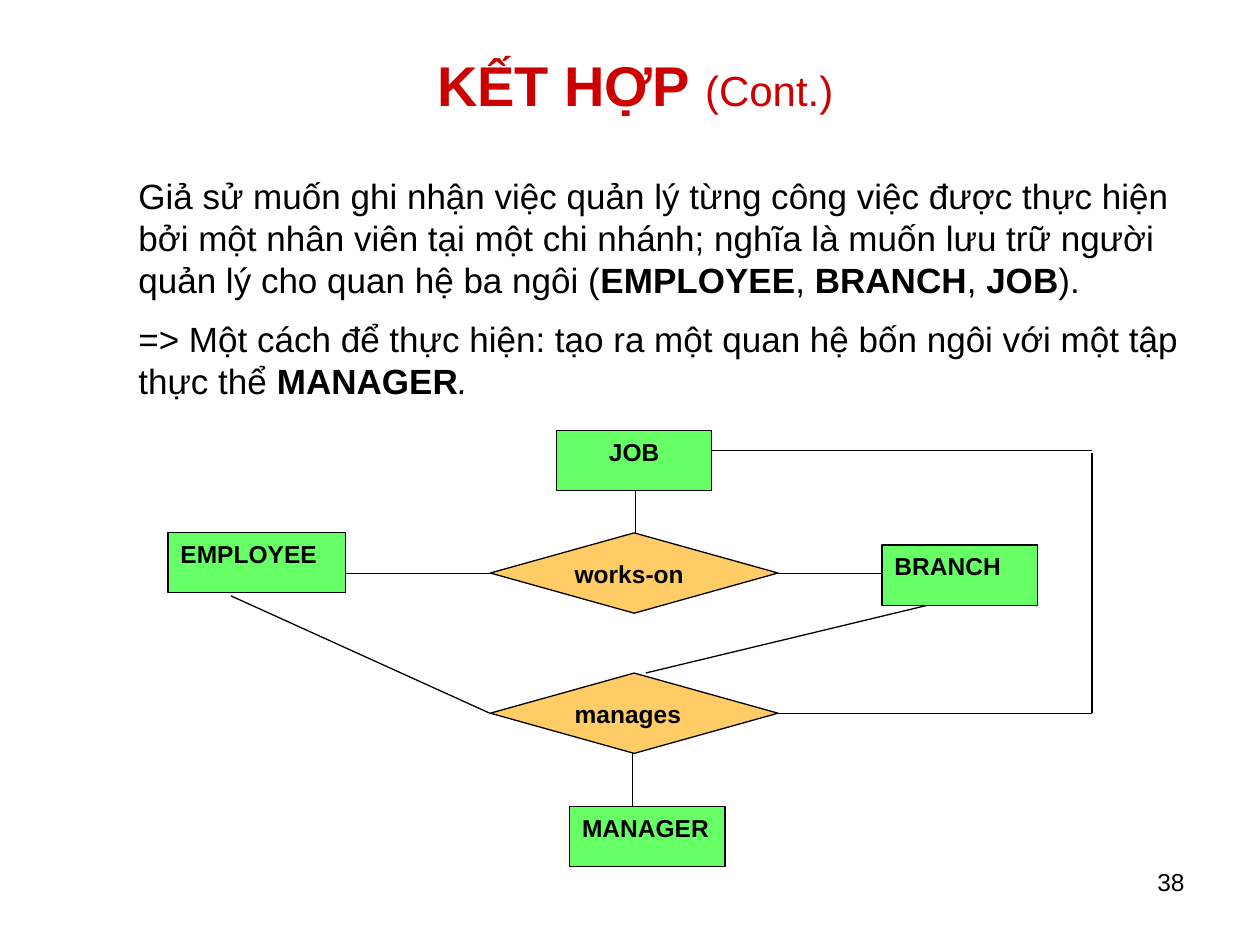
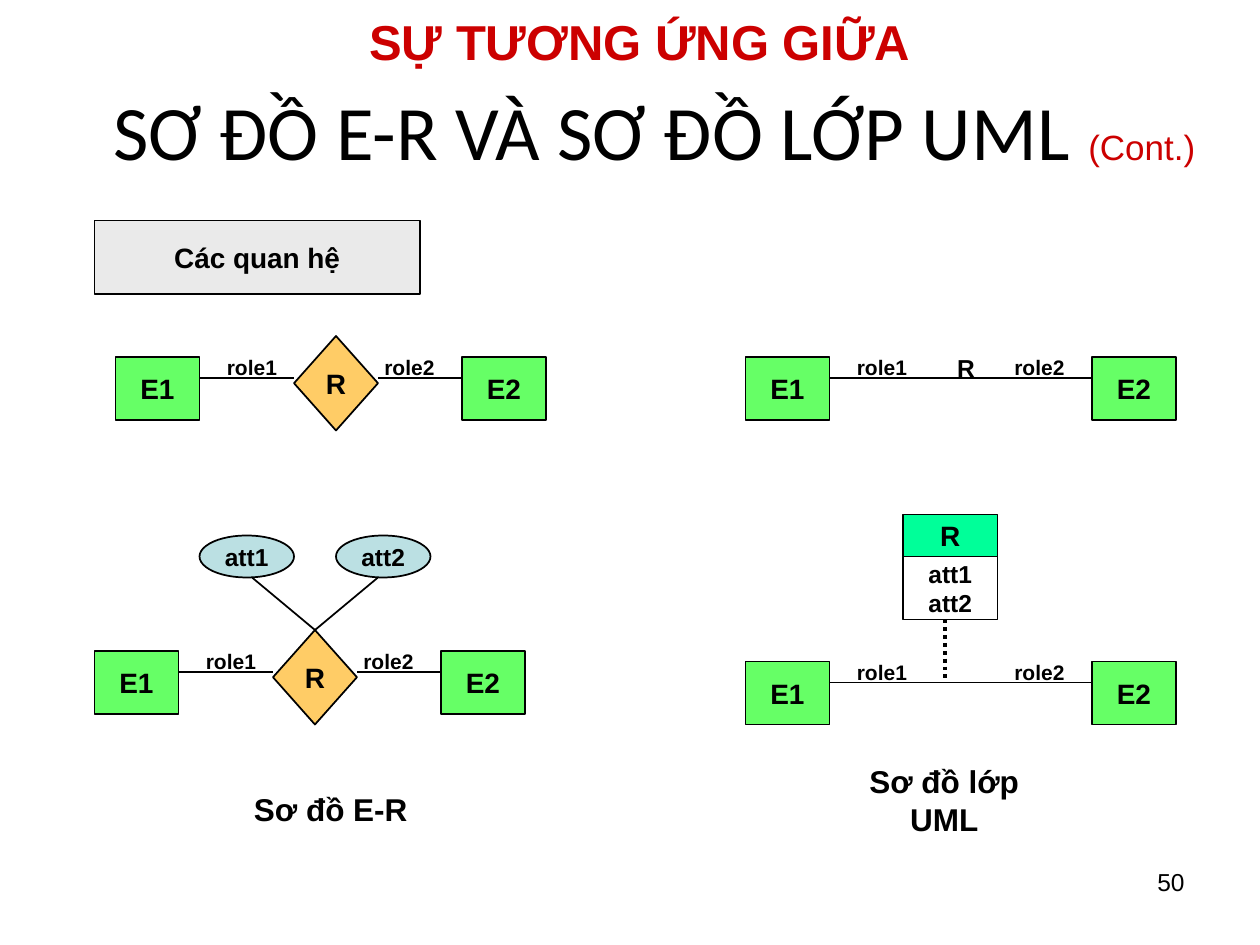
import pptx
import pptx.util
import pptx.dml.color
import pptx.enum.dml
import pptx.enum.shapes
import pptx.enum.text
import pptx.oxml

RGB = pptx.dml.color.RGBColor
BLACK = RGB(0x00, 0x00, 0x00)
TITLE_RED = RGB(0xCC, 0x00, 0x00)
ENTITY_GREEN = RGB(0x66, 0xFF, 0x66)
RELATION_ORANGE = RGB(0xFF, 0xCC, 0x66)
ATTRIBUTE_BLUE = RGB(0xBB, 0xE0, 0xE3)
CLASS_GREEN = RGB(0x00, 0xFF, 0x99)
LABEL_GREY = RGB(0xEA, 0xEA, 0xEA)

FONT = "Arial"
CELL = pptx.util.Inches(1) / 12  # the slide is 120 columns by 90 rows
COLUMNS, ROWS = 120, 90

SHAPE = pptx.enum.shapes.MSO_SHAPE
ANCHOR = pptx.enum.text.MSO_ANCHOR
ALIGN = pptx.enum.text.PP_ALIGN


def cells(*values):
    return [round(v * CELL) for v in values]


def style(font, size, color=BLACK, bold=None):
    font.name, font.size, font.bold = FONT, pptx.util.Pt(size), bold
    font.color.rgb = color


def write(tf, lines, size, bold=True, align=ALIGN.CENTER, anchor=ANCHOR.MIDDLE, wrap=False):
    tf.word_wrap, tf.vertical_anchor = wrap, anchor
    tf.text = lines
    for p in tf.paragraphs:
        p.alignment = align
        style(p.font, size, bold=bold)


def title(s, at, text, size, suffix_size):
    sp = s.shapes.title
    sp.left, sp.top, sp.width, sp.height = cells(*at)
    tf = sp.text_frame
    tf.auto_size = pptx.enum.text.MSO_AUTO_SIZE.NONE
    tf.vertical_anchor = ANCHOR.MIDDLE
    tf.text = text
    p = tf.paragraphs[0]
    p.alignment, p.line_spacing = ALIGN.CENTER, 1.15
    style(p.runs[0].font, size, TITLE_RED, True)
    r = p.add_run()
    r.text = "(Cont.)"
    style(r.font, suffix_size, TITLE_RED, False)


def label(s, at, text, size, **options):
    sp = s.shapes.add_textbox(*cells(*at))
    write(sp.text_frame, text, size, **options)


def box(s, kind, at, text, size, fill=None, width=1, **options):
    sp = s.shapes.add_shape(kind, *cells(*at))
    sp.shadow.inherit = False
    if fill is None:
        sp.fill.background()
    else:
        sp.fill.solid()
        sp.fill.fore_color.rgb = fill
    sp.line.color.rgb = BLACK
    sp.line.width = pptx.util.Pt(width)
    write(sp.text_frame, text, size, **options)


def line(s, x1, y1, x2, y2, width=1, dash=None):
    c = s.shapes.add_connector(pptx.enum.shapes.MSO_CONNECTOR.STRAIGHT, *cells(x1, y1, x2, y2))
    c.line.color.rgb = BLACK
    c.line.width = pptx.util.Pt(width)
    if dash:
        c.line.dash_style = dash
    props = c._element.spPr
    props.append(props.makeelement(pptx.oxml.ns.qn("a:effectLst"), {}))


def body(s, at, paragraphs):
    """Indented paragraphs, each a list of (text, bold, italic) runs."""
    tf = s.shapes.add_textbox(*cells(*at)).text_frame
    tf.word_wrap = True
    for i, runs in enumerate(paragraphs):
        p = tf.paragraphs[0] if i == 0 else tf.add_paragraph()
        p.space_before, p.space_after = pptx.util.Pt(7.5), pptx.util.Pt(2.5)
        p._p.get_or_add_pPr().set("marL", str(cells(8)[0]))
        style(p.font, 20)
        for text, bold, italic in runs:
            r = p.add_run()
            r.text, r.font.bold, r.font.italic = text, bold, italic


def new_slide(prs, number):
    s = prs.slides.add_slide(prs.slide_layouts[5])
    label(s, (86, 82, 28, 6.25), number, 14, bold=False, align=ALIGN.RIGHT,
          anchor=ANCHOR.TOP, wrap=True)
    return s


def entity_pair(s, col, row, gap=None):
    """E1 and E2 joined by a line, which may leave a gap for a diamond."""
    for name, offset in (("E1", 0), ("E2", 33)):
        box(s, SHAPE.RECTANGLE, (col + offset, row, 8, 6), name, 16, ENTITY_GREEN)
    segments = ((8, gap[0]), (gap[1], 33)) if gap else ((8, 33),)
    for start, end in segments:
        line(s, col + start, row + 2, col + end, row + 2)
    for name, offset in (("role1", 7), ("role2", 22)):
        label(s, (col + offset, row - 1, 12, 4), name, 12)


def er_relation(s, col, row):
    box(s, SHAPE.DIAMOND, (col + 17, row - 2, 8, 9), "R", 16, RELATION_ORANGE)
    entity_pair(s, col, row, gap=(17, 25))


def aggregation_slide(prs):
    s = new_slide(prs, "38")
    title(s, (2, 1, 117, 13), "KẾT HỢP ", 32, 24)
    body(s, (4, 16, 113, 24), [
        [("Giả sử muốn ghi nhận việc quản lý từng công việc được thực hiện bởi một nhân viên "
          "tại một chi nhánh; nghĩa là muốn lưu trữ người quản lý cho quan hệ ba ngôi (",
          False, False),
         ("EMPLOYEE", True, False), (", ", False, False), ("BRANCH", True, False),
         (", ", False, False), ("JOB", True, False), (").", False, False)],
        [("=> Một cách để thực hiện: tạo ra một quan hệ bốn ngôi với một tập thực thể ",
          False, False),
         ("MANAGER", True, False), (".", False, True)],
    ])

    # Links, drawn first so that the boxes cover their ends
    left, right, works_row, manages_row = 46.7, 74.1, 54.6, 67.95
    loop_col, job_row = 104, 42.9
    for ends in (
        (60.5, job_row, 60.5, 50.75),
        (60.25, 71.75, 60.25, 79),
        (30, works_row, left, works_row),
        (22, 56.75, left, manages_row),
        (right, works_row, 89, works_row),
        (93.1, 56.5, 61.5, 64.1),
        (right, manages_row, loop_col, manages_row),
        (loop_col, manages_row, loop_col, 43.1),
        (67, job_row, loop_col, job_row),
    ):
        line(s, *ends, width=0.75)

    # Relationships and entities
    options = dict(width=0.75, anchor=ANCHOR.TOP, wrap=True)
    for name, row in (("works-on", 50.75), ("manages", 64.1)):
        box(s, SHAPE.DIAMOND, (left, row, right - left, 7.65), name, 14, RELATION_ORANGE,
            align=ALIGN.LEFT, **options)
    for name, col, row, wide, align in (
        ("JOB", 53, 41, 14.8, ALIGN.CENTER),
        ("MANAGER", 54.25, 76.8, 14.8, ALIGN.LEFT),
        ("BRANCH", 84, 51.9, 14.8, ALIGN.LEFT),
        ("EMPLOYEE", 16, 50.7, 16.9, ALIGN.LEFT),
    ):
        box(s, SHAPE.RECTANGLE, (col, row, wide, 5.75), name, 14, ENTITY_GREEN,
            align=align, **options)


def correspondence_slide(prs):
    s = new_slide(prs, "50")
    title(s, (3, 2, 117, 13), "SỰ TƯƠNG ỨNG GIỮA \v SƠ ĐỒ E-R VÀ SƠ ĐỒ LỚP UML ", 28, 20)
    box(s, SHAPE.RECTANGLE, (9, 21, 31, 7), "Các quan hệ", 16, LABEL_GREY)

    # Plain relationship in both notations
    er_relation(s, 11, 34)
    entity_pair(s, 71, 34)
    label(s, (86, 33, 12, 4), "R", 14)

    # E-R relationship with attributes
    er_relation(s, 9, 62)
    for name, col, link_col in (("att1", 19, 24), ("att2", 32, 36)):
        box(s, SHAPE.OVAL, (col, 51, 9, 4), name, 14, ATTRIBUTE_BLUE)
        line(s, link_col, 55, 30, 60)

    # UML association class
    entity_pair(s, 71, 63)
    box(s, SHAPE.RECTANGLE, (86, 49, 9, 4), "R", 16, CLASS_GREEN)
    box(s, SHAPE.RECTANGLE, (86, 53, 9, 6), "att1\natt2", 14)
    line(s, 90, 59, 90, 65, 2.25, pptx.enum.dml.MSO_LINE.ROUND_DOT)

    # Captions
    label(s, (19, 74.75, 25, 4.5), "Sơ đồ E-R", 18)
    label(s, (78.1, 74, 23.65, 4.3), "Sơ đồ lớp UML", 18)


def main():
    prs = pptx.Presentation()
    prs.slide_width, prs.slide_height = cells(COLUMNS, ROWS)
    aggregation_slide(prs)
    correspondence_slide(prs)
    prs.save("out.pptx")


if __name__ == "__main__":
    main()
